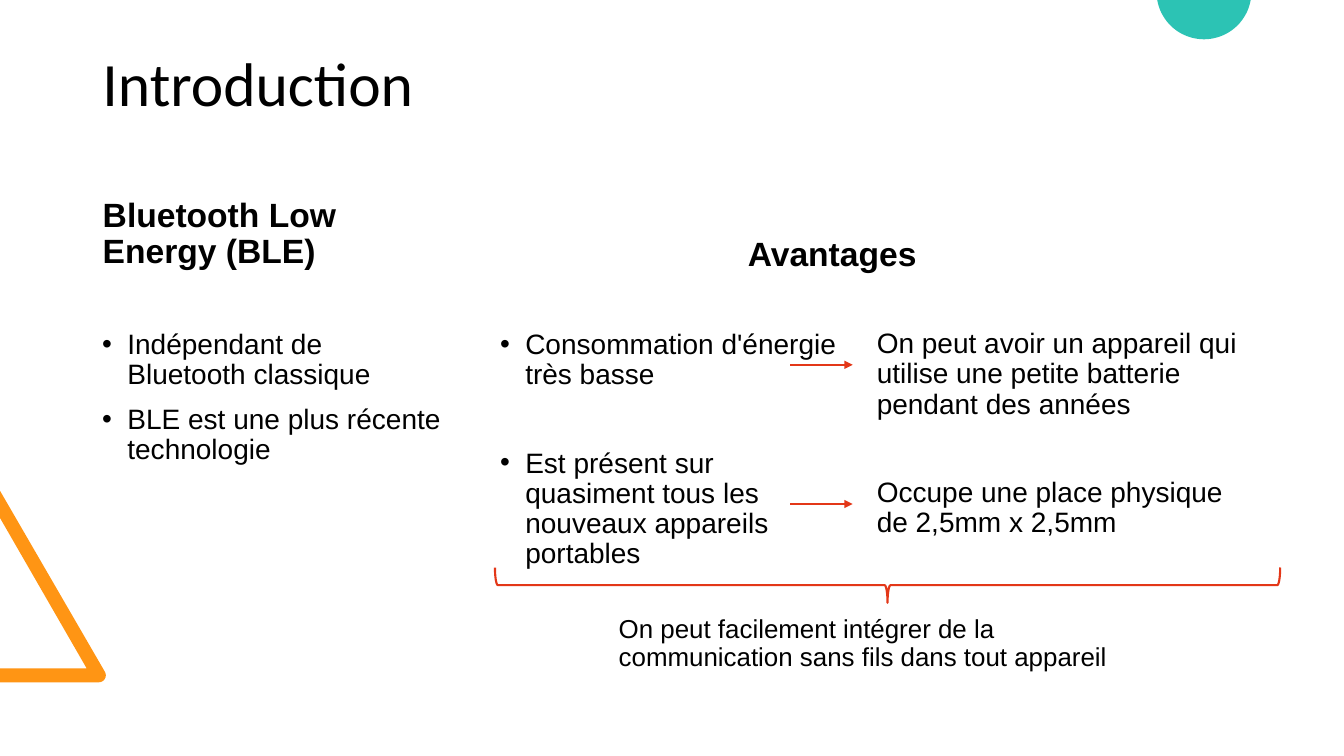
from dataclasses import dataclass
from math import cos, radians, sin

from lxml import etree
from pptx import Presentation
from pptx.dml.color import RGBColor
from pptx.enum.shapes import MSO_CONNECTOR, MSO_SHAPE
from pptx.enum.text import MSO_ANCHOR, MSO_AUTO_SIZE, PP_ALIGN
from pptx.oxml.ns import qn
from pptx.util import Pt

BLACK = RGBColor(0x00, 0x00, 0x00)
RED = RGBColor(0xE3, 0x37, 0x18)
ORANGE = RGBColor(0xFF, 0x95, 0x14)
TEAL = RGBColor(0x2C, 0xC3, 0xB4)
LEFT = PP_ALIGN.LEFT
TOP, MIDDLE, BOTTOM = MSO_ANCHOR.TOP, MSO_ANCHOR.MIDDLE, MSO_ANCHOR.BOTTOM
NO_FIT = MSO_AUTO_SIZE.NONE
STRAIGHT = MSO_CONNECTOR.STRAIGHT
BRACE = MSO_SHAPE.LEFT_BRACE
COMPARE = 4  # layout with a title, two headings and two lists
GAP, WIDE = 10, 41.6  # space before a paragraph


@dataclass
class Block:
    """A text area; slot is its placeholder index, None for a text box."""
    slot: int | None
    box: tuple[float, float, float, float]
    lines: list[str]
    size: float = 20
    font: str = "Arial"
    bold: bool = False
    bullet: bool = False
    anchor: MSO_ANCHOR = TOP
    gap: float = GAP


BLOCKS = [
    Block(0, (66, 9.4, 828, 104.4), ["Introduction"], 44, "Calibri",
          anchor=MIDDLE, gap=0),
    Block(1, (66.2, 132.5, 259.2, 64.8), ["Bluetooth Low Energy (BLE)"], 24,
          bold=True, anchor=BOTTOM),
    Block(2, (65.8, 232.5, 259.2, 136.8),
          ["Indépendant de Bluetooth classique",
           "BLE est une plus récente technologie"], bullet=True),
    Block(3, (527, 134.6, 259.2, 64.8), ["Avantages"], 24,
          bold=True, anchor=BOTTOM),
    Block(4, (350, 232.2, 259.2, 290.2),
          ["Consommation d'énergie très basse",
           "Est présent sur quasiment tous les nouveaux appareils portables"],
          bullet=True, gap=WIDE),
    Block(None, (619.2, 231.8, 285.1, 290.2),
          ["On peut avoir un appareil qui utilise une petite batterie "
           "pendant des années",
           "Occupe une place physique de 2,5mm x 2,5mm"], gap=WIDE),
    Block(None, (434.9, 436.3, 398.2, 64.8),
          ["On peut facilement intégrer de la communication sans fils "
           "dans tout appareil"], 18.5),
]


def write(slide, block: Block) -> None:
    """Fill one placeholder or text box."""
    spot = [Pt(n) for n in block.box]
    if block.slot is None:
        shape = slide.shapes.add_textbox(*spot)
    else:
        shape = slide.placeholders[block.slot]
        shape.left, shape.top, shape.width, shape.height = spot
    frame = shape.text_frame
    frame.word_wrap = True
    frame.auto_size = NO_FIT
    frame.vertical_anchor = block.anchor
    for i, line in enumerate(block.lines):
        para = frame.add_paragraph() if i else frame.paragraphs[0]
        para.alignment = LEFT
        para.line_spacing = 0.9
        para.space_before = Pt(block.gap if i else min(block.gap, GAP))
        para.space_after = Pt(0)
        mark(para, block.bullet)
        run = para.add_run()
        run.text = line
        font = run.font
        font.name, font.size, font.bold = block.font, Pt(block.size), block.bold
        font.color.rgb = BLACK


def mark(para, bullet: bool) -> None:
    """Set the indent and the bullet of a paragraph."""
    props = para._p.get_or_add_pPr()
    step = Pt(18) if bullet else 0
    props.set("marL", str(step))
    props.set("indent", str(-step))
    if bullet:
        etree.SubElement(props, qn("a:buFont"), typeface="Arial")
        etree.SubElement(props, qn("a:buChar"), char="•")
    else:
        etree.SubElement(props, qn("a:buNone"))


def arc(x: float, y: float, r: float, start: int, end: int,
        step: int) -> list[tuple[float, float]]:
    """Points along a circle, clockwise, angles in degrees."""
    return [(x + r * cos(radians(a)), y + r * sin(radians(a)))
            for a in range(start, end + 1, step)]


def patch(slide, points: list[tuple[float, float]], color: RGBColor) -> None:
    """Draw a filled outline."""
    dots = [(Pt(x), Pt(y)) for x, y in points]
    form = slide.shapes.build_freeform(*dots[0])
    form.add_line_segments(dots[1:], close=True)
    shape = form.convert_to_shape()
    shape.shadow.inherit = False
    shape.fill.solid()
    shape.fill.fore_color.rgb = color
    shape.line.fill.background()


def arrow(slide, y: float) -> None:
    """Draw an arrow from an advantage to its effect."""
    line = slide.shapes.add_connector(
        STRAIGHT, Pt(564.5), Pt(y), Pt(609.1), Pt(y))
    line.line.color.rgb = RED
    line.line.width = Pt(1.5)
    etree.SubElement(line.line._get_or_add_ln(), qn("a:tailEnd"),
                     type="triangle")
    etree.SubElement(line._element.spPr, qn("a:effectLst"))


def brace(slide) -> None:
    """Draw the brace under both columns of advantages."""
    shape = slide.shapes.add_shape(
        BRACE, Pt(621.4), Pt(137.5), Pt(25.2), Pt(560.9))
    shape.rotation = 270
    shape.shadow.inherit = False
    shape.fill.background()
    shape.line.color.rgb = RED
    shape.line.width = Pt(1.5)


def main() -> None:
    deck = Presentation()
    deck.slide_width, deck.slide_height = Pt(960), Pt(540)
    slide = deck.slides.add_slide(deck.slide_layouts[COMPARE])

    # Corner decor
    patch(slide, [(0, 487.4), (0, 477.4), (61.9, 477.4), (0, 370), (0, 350.6),
                  *arc(70.6, 482.4, 5, -30, 90, 15)], ORANGE)
    patch(slide, arc(860, -5.8, 33.9, 10, 170, 4), TEAL)

    # Texts
    for block in BLOCKS:
        write(slide, block)

    # Links between the columns
    for y in (260.6, 360):
        arrow(slide, y)
    brace(slide)

    deck.save("out.pptx")


if __name__ == "__main__":
    main()
